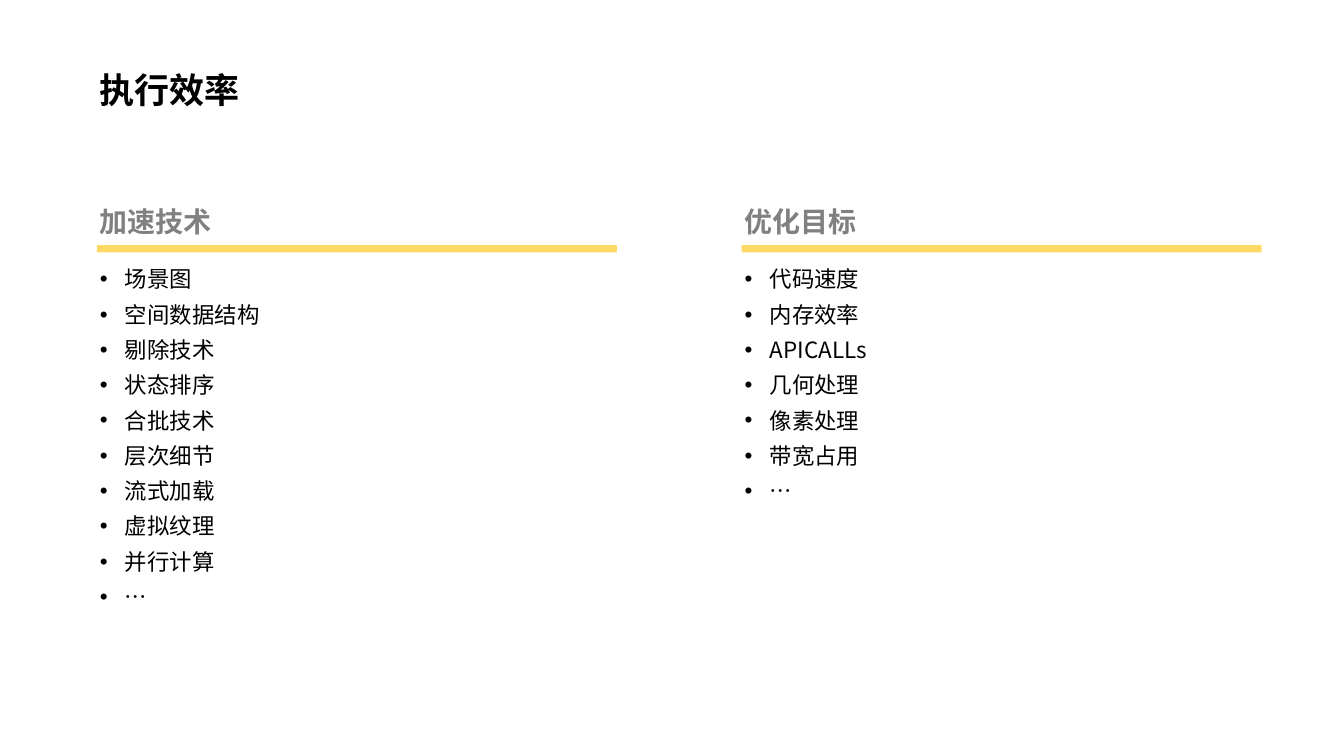
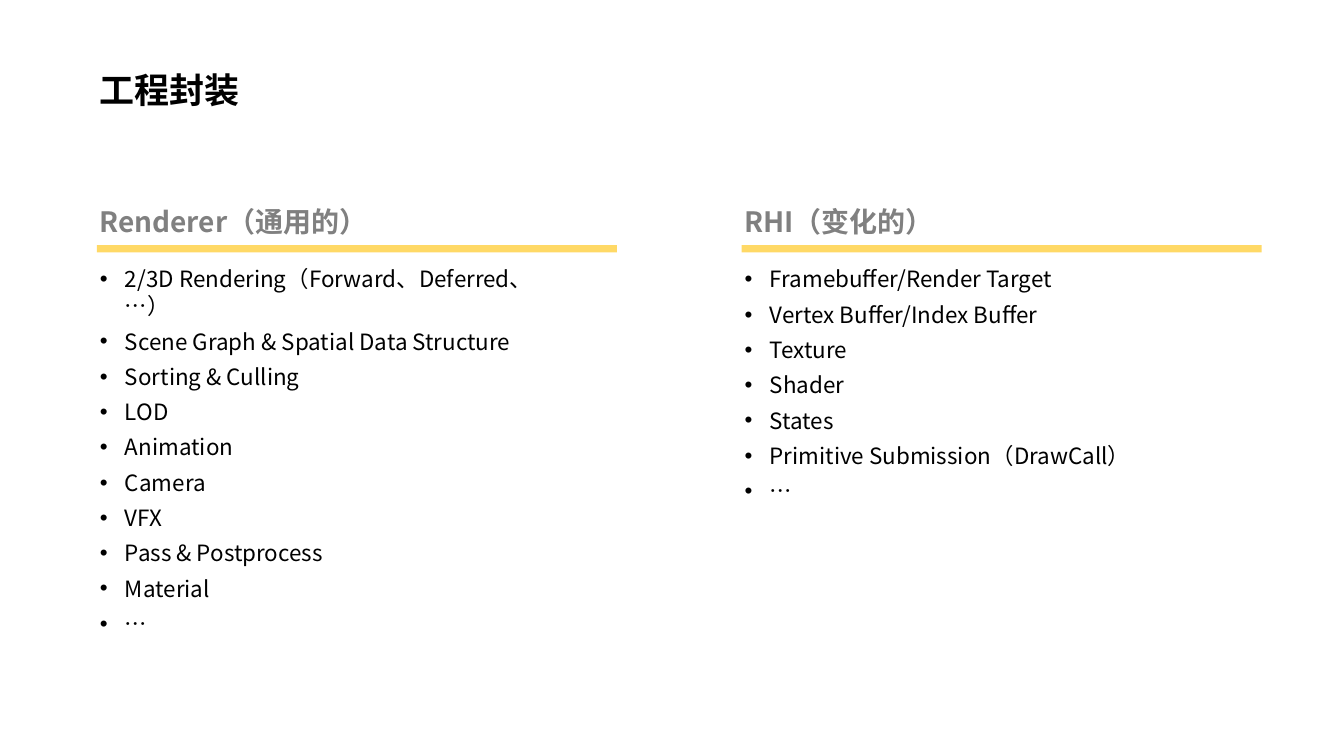
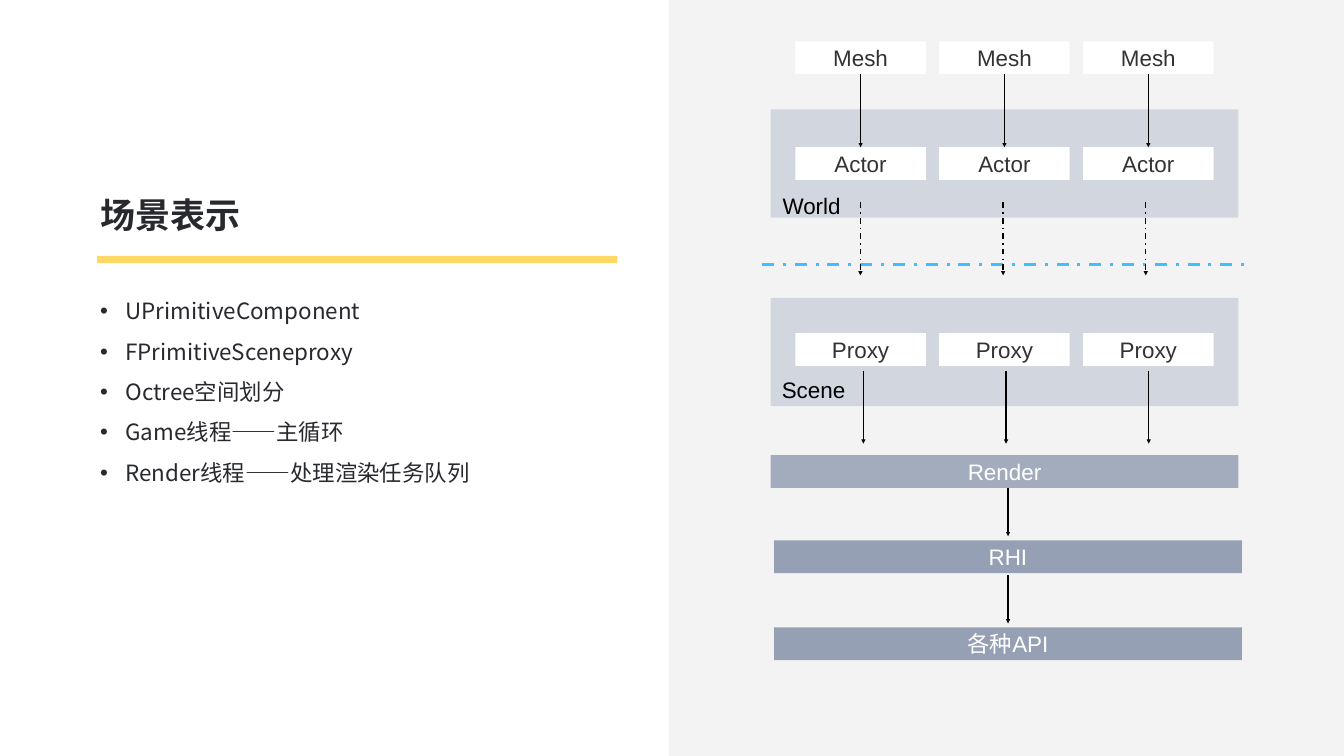
from dataclasses import dataclass

from lxml import etree
from pptx import Presentation
from pptx.dml.color import RGBColor
from pptx.enum import dml, shapes, text
from pptx.oxml import ns
from pptx.util import Cm, Pt


@dataclass(frozen=True)
class Theme:
    cjk: str = "Noto Sans CJK SC"
    latin: str = "Arial"
    black: str = "000000"
    white: str = "FFFFFF"
    ink: str = "27292E"
    heading: str = "808080"
    accent: str = "FFD966"
    panel: str = "F3F3F3"
    box_text: str = "323233"
    zone: str = "A5AFC3"
    bar: str = "607090"
    divider: str = "40BEFF"
    title_size: int = 50
    heading_size: int = 40
    body_size: int = 32
    inset: float = 0.15


T = Theme()
SLIDE_W, SLIDE_H = 67.73, 38.1
LEFT, RIGHT = 4.88, 37.37
RULE_W, RULE_H = 26.21, 0.36

# title, then one (heading, heading width, bullets) for each column
COMPARISONS = [
    ("执行效率", [
        ("加速技术", 5.99, ["场景图", "空间数据结构", "剔除技术", "状态排序", "合批技术",
                        "层次细节", "流式加载", "虚拟纹理", "并行计算", "…"]),
        ("优化目标", 5.99, ["代码速度", "内存效率", "APICALLs", "几何处理", "像素处理",
                        "带宽占用", "…"]),
    ]),
    ("工程封装", [
        ("Renderer（通用的）", 14.27, [
            "2/3D Rendering（Forward、Deferred、…）",
            "Scene Graph & Spatial Data Structure", "Sorting & Culling", "LOD",
            "Animation", "Camera", "VFX", "Pass & Postprocess", "Material", "…"]),
        ("RHI（变化的）", 10.41, [
            "Framebuffer/Render Target", "Vertex Buffer/Index Buffer", "Texture",
            "Shader", "States", "Primitive Submission（DrawCall）", "…"]),
    ]),
]

SCENE_TITLE = "场景表示"
SCENE_POINTS = ["UPrimitiveComponent", "FPrimitiveSceneproxy", "Octree空间划分",
                "Game线程——主循环", "Render线程——处理渲染任务队列"]

# Diagram: lengths in centimetres
COLUMNS = 3
BOX_LEFT, BOX_PITCH, BOX_W, BOX_H = 40.08, 7.25, 6.58, 1.65
BOX_ROWS = {"Mesh": 2.08, "Actor": 7.42, "Proxy": 16.79}
ZONE_LEFT, ZONE_W, ZONE_H = 38.84, 23.57, 5.46
ZONES = [  # label, zone top, label left, label top, label width
    ("World", 5.51, 39.05, 9.52, 3.7),
    ("Scene", 15.01, 39.0, 18.8, 4.0),
]
BARS = [  # label, left, top, opacity in percent
    ("Render", 38.84, 22.94, 54),
    ("RHI", 39.01, 27.23, 63),
    ("各种API", 39.01, 31.62, 63),
]
ARROW_PITCH = 7.19
ARROW_ROWS = [  # first x, top, bottom, dash
    (43.36, 10.2, 13.88, dml.MSO_LINE.DASH_DOT),
    (43.51, 18.68, 22.36, None),
]
BAR_ARROWS = [(24.59, 27.03), (28.98, 31.42)]
BAR_ARROW_X = 50.8
DIVIDER_LEFT, DIVIDER_RIGHT, DIVIDER_Y = 38.4, 63.02, 13.34


def rgb(color):
    return RGBColor.from_string(color)


def place(shape, left, top, width, height):
    shape.left, shape.top = Cm(left), Cm(top)
    shape.width, shape.height = Cm(width), Cm(height)


def write(shape, lines, size, color, font=T.cjk, bold=False, wrap=True,
          align=text.PP_ALIGN.LEFT, anchor=text.MSO_ANCHOR.TOP):
    """Fill a shape with one paragraph per line, all in one style."""
    frame = shape.text_frame
    frame.text = "\n".join(lines)
    frame.word_wrap = wrap
    frame.auto_size = text.MSO_AUTO_SIZE.SHAPE_TO_FIT_TEXT
    frame.vertical_anchor = anchor
    frame.margin_left = frame.margin_right = Cm(T.inset)
    frame.margin_top = frame.margin_bottom = Cm(T.inset)
    for paragraph in frame.paragraphs:
        paragraph.alignment = align
        for run in paragraph.runs:
            run.font.size, run.font.bold = Pt(size), bold
            run.font.name = font
            run.font.color.rgb = rgb(color)
            ea = etree.SubElement(run.font._element, ns.qn("a:ea"))
            ea.set("typeface", T.cjk)


def add_text(slide, lines, left, top, width, height, size, color, **style):
    box = slide.shapes.add_textbox(Cm(left), Cm(top), Cm(width), Cm(height))
    write(box, lines, size, color, **style)
    return box


def add_title(slide, title, left, top, width, color, **style):
    place(slide.shapes.title, left, top, width, 2.41)
    write(slide.shapes.title, [title], T.title_size, color, bold=True, **style)


def add_bullets(slide, points, left, top, width, height, color, gap=0, spacing=1.0):
    box = add_text(slide, points, left, top, width, height, T.body_size, color)
    for index, paragraph in enumerate(box.text_frame.paragraphs):
        paragraph.line_spacing = spacing
        paragraph.space_before = Pt(gap if index else 0)
        paragraph.space_after = Pt(gap)
        properties = paragraph._p.get_or_add_pPr()
        properties.set("marL", str(Cm(1.27)))
        properties.set("indent", str(-Cm(1.27)))
        etree.SubElement(properties, ns.qn("a:buFont")).set("typeface", T.latin)
        etree.SubElement(properties, ns.qn("a:buChar")).set("char", "•")


def add_rect(slide, left, top, width, height, fill, opacity=100):
    rect = slide.shapes.add_shape(shapes.MSO_SHAPE.RECTANGLE,
                                  Cm(left), Cm(top), Cm(width), Cm(height))
    rect.shadow.inherit = False
    rect.fill.solid()
    rect.fill.fore_color.rgb = rgb(fill)
    rect.line.fill.background()
    if opacity < 100:
        color = rect._element.spPr.find(".//" + ns.qn("a:srgbClr"))
        etree.SubElement(color, ns.qn("a:alpha")).set("val", str(opacity * 1000))
    return rect


def add_rule(slide, left, top):
    add_rect(slide, left, top, RULE_W, RULE_H, T.accent)


def add_label_rect(slide, label, left, top, width, fill, color, opacity=100):
    rect = add_rect(slide, left, top, width, BOX_H, fill, opacity)
    write(rect, [label], T.body_size, color, font=T.latin,
          align=text.PP_ALIGN.CENTER, anchor=text.MSO_ANCHOR.MIDDLE)
    return rect


def add_line(slide, start, end, color=T.black, width=2, dash=None, arrow=True):
    line = slide.shapes.add_connector(shapes.MSO_CONNECTOR.STRAIGHT,
                                      *(Cm(v) for v in (*start, *end)))
    line.line.width = Pt(width)
    line.line.color.rgb = rgb(color)
    if dash:
        line.line.dash_style = dash
    properties = line._element.spPr
    if arrow:
        outline = properties.find(ns.qn("a:ln"))
        etree.SubElement(outline, ns.qn("a:tailEnd")).set("type", "triangle")
    etree.SubElement(properties, ns.qn("a:effectLst"))
    return line


def comparison_slide(slide, title, columns):
    add_title(slide, title, LEFT, 3.3, 7.42, T.black, wrap=False)
    for left, (heading, width, points) in zip((LEFT, RIGHT), columns):
        add_text(slide, [heading], left, 10.16, width, 2.01, T.heading_size,
                 T.heading, bold=True, wrap=False)
        add_rule(slide, left, 12.36)
        add_bullets(slide, points, left, 13.23, 23.65, 1.8 * len(points),
                    T.black, gap=6)


def scene_diagram(slide):
    for _, top, *_ in ZONES:
        add_rect(slide, ZONE_LEFT, top, ZONE_W, ZONE_H, T.zone, 42)
    boxes = {
        label: [add_label_rect(slide, label, BOX_LEFT + i * BOX_PITCH, top, BOX_W,
                               T.white, T.box_text) for i in range(COLUMNS)]
        for label, top in BOX_ROWS.items()
    }
    for mesh, actor in zip(boxes["Mesh"], boxes["Actor"]):
        arrow = add_line(slide, (0, 0), (0, 0))
        arrow.begin_connect(mesh, 2)
        arrow.end_connect(actor, 0)

    add_line(slide, (DIVIDER_LEFT, DIVIDER_Y), (DIVIDER_RIGHT, DIVIDER_Y),
             T.divider, 4.25, dml.MSO_LINE.DASH_DOT, arrow=False)
    for first_x, top, bottom, dash in ARROW_ROWS:
        for i in range(COLUMNS):
            x = first_x + i * ARROW_PITCH
            add_line(slide, (x, top), (x, bottom), dash=dash)

    for label, _, left, top, width in ZONES:
        add_text(slide, [label], left, top, width, BOX_H, T.body_size, T.black,
                 font=T.latin, wrap=False, align=text.PP_ALIGN.CENTER,
                 anchor=text.MSO_ANCHOR.MIDDLE)
    for label, left, top, opacity in BARS:
        add_label_rect(slide, label, left, top, ZONE_W, T.bar, T.white, opacity)
    for top, bottom in BAR_ARROWS:
        add_line(slide, (BAR_ARROW_X, top), (BAR_ARROW_X, bottom))


def scene_slide(slide):
    add_rect(slide, 33.71, 0, SLIDE_W - 33.71, SLIDE_H, T.panel)
    add_title(slide, SCENE_TITLE, 4.9, 9.6, 19.61, T.ink,
              anchor=text.MSO_ANCHOR.BOTTOM)
    add_rule(slide, 4.9, 12.9)
    add_bullets(slide, SCENE_POINTS, 4.9, 14.17, 20.09, 10.31, T.ink, spacing=1.5)
    scene_diagram(slide)


def main():
    deck = Presentation()
    deck.slide_width, deck.slide_height = Cm(SLIDE_W), Cm(SLIDE_H)
    title_only = deck.slide_layouts[5]
    for title, columns in COMPARISONS:
        comparison_slide(deck.slides.add_slide(title_only), title, columns)
    scene_slide(deck.slides.add_slide(title_only))
    deck.save("out.pptx")


if __name__ == "__main__":
    main()
